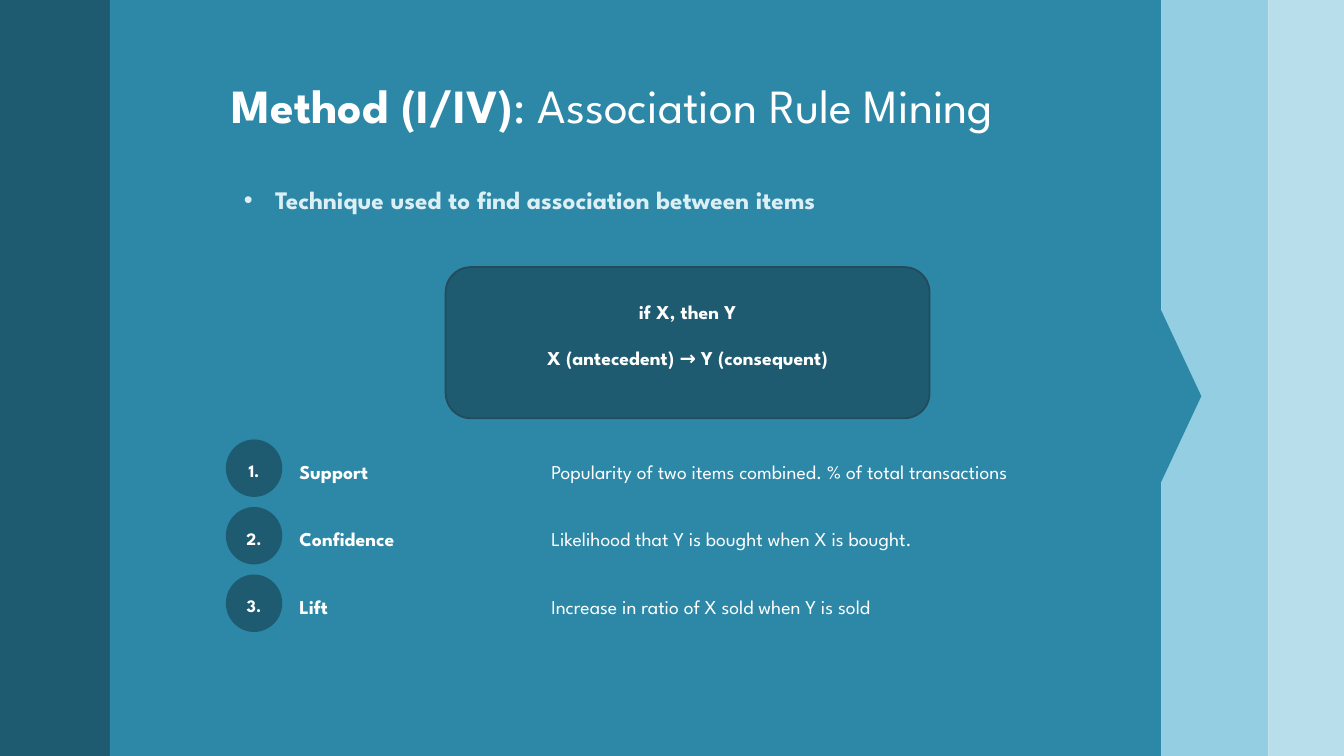
from lxml import etree
from pptx import Presentation
from pptx.dml.color import RGBColor
from pptx.enum.shapes import MSO_SHAPE
from pptx.enum.text import MSO_ANCHOR, PP_ALIGN
from pptx.oxml.ns import qn
from pptx.util import Inches, Pt

FONT = "League Spartan"
WHITE = RGBColor(0xFF, 0xFF, 0xFF)
PALE = RGBColor(0xDB, 0xEF, 0xF5)
DARK_TEAL = RGBColor(0x1E, 0x5A, 0x70)
TEAL = RGBColor(0x2D, 0x88, 0xA8)
SKY = RGBColor(0x94, 0xCE, 0xE2)
LIGHT_SKY = RGBColor(0xB8, 0xDE, 0xEC)
BOX_LINE = RGBColor(0x22, 0x4C, 0x5B)

SLIDE_WIDTH, SLIDE_HEIGHT = 13.33, 7.5
BANDS = [(0, DARK_TEAL), (1.09, TEAL), (11.52, SKY), (12.58, LIGHT_SKY)]
MEASURES = [
    ("Support", "Popularity of two items combined. % of total transactions"),
    ("Confidence", "Likelihood that Y is bought when X is bought."),
    ("Lift", "Increase in ratio of X sold when Y is sold"),
]


def add_filled_shape(slide, kind, left, top, width, height, color):
    shape = slide.shapes.add_shape(
        kind, Inches(left), Inches(top), Inches(width), Inches(height))
    shape.shadow.inherit = False
    shape.fill.solid()
    shape.fill.fore_color.rgb = color
    shape.line.fill.background()
    return shape


def add_text_box(slide, left, top, width, height, anchor=MSO_ANCHOR.TOP):
    """Add a wrapping text box and return its text frame."""
    box = slide.shapes.add_textbox(
        Inches(left), Inches(top), Inches(width), Inches(height))
    box.text_frame.word_wrap = True
    box.text_frame.vertical_anchor = anchor
    return box.text_frame


def set_font(paragraph, size, bold=None, color=WHITE):
    font = paragraph.font
    font.name, font.size, font.bold = FONT, Pt(size), bold
    font.color.rgb = color


def add_background(slide):
    edges = [left for left, _ in BANDS[1:]] + [SLIDE_WIDTH]
    for (left, color), right in zip(BANDS, edges):
        add_filled_shape(slide, MSO_SHAPE.RECTANGLE,
                         left, 0, right - left, SLIDE_HEIGHT, color)
    pointer = add_filled_shape(
        slide, MSO_SHAPE.ISOSCELES_TRIANGLE, 10.86, 3.73, 1.71, 0.4, TEAL)
    pointer.rotation = 90


def add_title(slide, left, top, width, height):
    paragraph = add_text_box(slide, left, top, width, height).paragraphs[0]
    paragraph.line_spacing = 0.9
    set_font(paragraph, 34)
    for text, bold in (("Method (I/IV)", True),
                       (": Association Rule Mining", False)):
        run = paragraph.add_run()
        run.text = text
        run.font.bold = bold


def add_bullet(slide, left, top, width, height):
    paragraph = add_text_box(slide, left, top, width, height).paragraphs[0]
    paragraph.text = "Technique used to find association between items"
    set_font(paragraph, 18, True, PALE)
    properties = paragraph._p.get_or_add_pPr()
    properties.set("marL", str(Inches(0.31)))
    properties.set("indent", str(-Inches(0.31)))
    etree.SubElement(properties, qn("a:buFont")).set("typeface", "Arial")
    etree.SubElement(properties, qn("a:buChar")).set("char", "•")


def add_rule_box(slide, left, top, width, height):
    box = add_filled_shape(slide, MSO_SHAPE.ROUNDED_RECTANGLE,
                           left, top, width, height, DARK_TEAL)
    box.line.color.rgb = BOX_LINE
    box.line.width = Pt(1.25)
    frame = box.text_frame
    frame.vertical_anchor = MSO_ANCHOR.MIDDLE
    frame.margin_bottom = Inches(0.2)
    frame.text = "if X, then Y\nX (antecedent) → Y (consequent)"
    for paragraph in frame.paragraphs:
        paragraph.alignment = PP_ALIGN.CENTER
        set_font(paragraph, 14, True)
    frame.paragraphs[0].space_after = Pt(16)


def add_measures(slide, left, top, row_pitch):
    """Add numbered rows, each a disc, a name and a description."""
    disc_width, disc_height = 0.56, 0.57
    for index, (name, description) in enumerate(MEASURES):
        row_top = top + index * row_pitch
        disc = add_filled_shape(slide, MSO_SHAPE.OVAL, left, row_top,
                                disc_width, disc_height, DARK_TEAL)
        frame = disc.text_frame
        frame.margin_left = frame.margin_right = 0
        frame.margin_top = Inches(0.1)
        frame.text = f"{index + 1}."
        frame.paragraphs[0].alignment = PP_ALIGN.CENTER
        set_font(frame.paragraphs[0], 12.5, True)
        for text, offset, width, bold in ((name, 0.63, 2.2, True),
                                          (description, 3.13, 5.6, False)):
            frame = add_text_box(slide, left + offset, row_top + 0.03,
                                 width, disc_height, MSO_ANCHOR.MIDDLE)
            frame.text = text
            set_font(frame.paragraphs[0], 14, bold)


def main():
    presentation = Presentation()
    presentation.slide_width = Inches(SLIDE_WIDTH)
    presentation.slide_height = Inches(SLIDE_HEIGHT)
    slide = presentation.slides.add_slide(presentation.slide_layouts[6])
    add_background(slide)
    add_title(slide, 2.2, 0.77, 9.07, 1.18)
    add_bullet(slide, 2.32, 1.78, 8.08, 0.71)
    add_rule_box(slide, 4.42, 2.65, 4.8, 1.5)
    add_measures(slide, 2.24, 4.36, 0.67)
    presentation.save("out.pptx")


if __name__ == "__main__":
    main()
